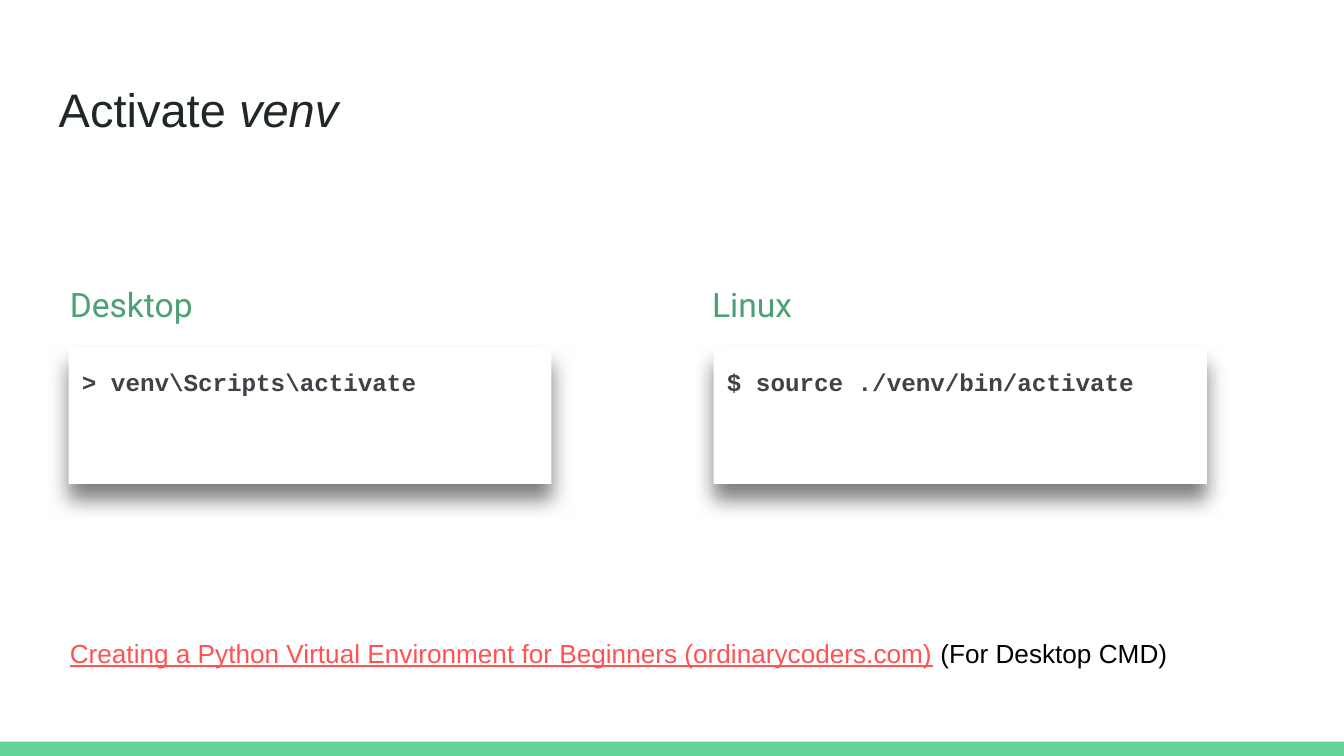
from lxml import etree
from pptx import Presentation
from pptx import util as u
from pptx.dml import color
from pptx.enum import shapes, text
from pptx.oxml import ns

COLORS = {
    "accent": "63D297",
    "title": "202729",
    "panel": "FFFFFF",
    "code": "3E4349",
    "label": "4BA173",
    "link": "FF5252",
    "note": "000000",
    "shadow": "000000",
}

SYSTEMS = [
    ("Desktop", r"> venv\Scripts\activate", 1.07, 1.3, 9.12),
    ("Linux", "$ source ./venv/bin/activate", 13.21, 13.49, 9.32),
]


def rgb(name):
    return color.RGBColor.from_string(COLORS[name])


def set_font(font, name, size, color_name):
    font.name = name
    font.size = u.Pt(size)
    font.color.rgb = rgb(color_name)


def prepare_frame(shape, anchor=text.MSO_ANCHOR.TOP):
    frame = shape.text_frame
    frame.word_wrap = True
    frame.auto_size = text.MSO_AUTO_SIZE.NONE
    frame.vertical_anchor = anchor
    frame.margin_left = frame.margin_right = u.Cm(0.25)
    frame.margin_top = frame.margin_bottom = u.Cm(0.25)
    para = frame.paragraphs[0]
    para.alignment = text.PP_ALIGN.LEFT
    return para


def add_rectangle(page, left, top, width, height, fill):
    shape = page.shapes.add_shape(
        shapes.MSO_SHAPE.RECTANGLE,
        u.Cm(left), u.Cm(top), u.Cm(width), u.Cm(height))
    shape.shadow.inherit = False
    shape.fill.solid()
    shape.fill.fore_color.rgb = rgb(fill)
    shape.line.fill.background()
    return shape


def add_drop_shadow(shape):
    effects = shape.element.spPr.find(ns.qn("a:effectLst"))
    shadow = etree.SubElement(
        effects, ns.qn("a:outerShdw"),
        blurRad=str(u.Pt(11.2)), dist=str(u.Pt(8.2)),
        dir="5400000", algn="bl", rotWithShape="0")
    tint = etree.SubElement(shadow, ns.qn("a:srgbClr"), val=COLORS["shadow"])
    etree.SubElement(tint, ns.qn("a:alpha"), val="50000")


def add_code_panel(page, code, left, width):
    panel = add_rectangle(page, left, 6.58, width, 2.57, "panel")
    add_drop_shadow(panel)
    para = prepare_frame(panel)
    para.line_spacing = 1.2
    para.text = code
    set_font(para.font, "Courier New", 13, "code")
    para.font.bold = True


def add_text_line(page, left, top, width):
    box = page.shapes.add_textbox(
        u.Cm(left), u.Cm(top), u.Cm(width), u.Cm(1.12))
    return prepare_frame(box)


def add_label(page, label, left):
    para = add_text_line(page, left, 5.11, 5.05)
    para.text = label
    set_font(para.font, "Roboto", 18, "label")


def add_reference(page):
    para = add_text_line(page, 1.07, 11.79, 21.97)
    link = para.add_run()
    link.text = "Creating a Python Virtual Environment for Beginners (ordinarycoders.com)"
    set_font(link.font, "Arial", 14, "link")
    link.font.underline = True
    note = para.add_run()
    note.text = " (For Desktop CMD)"
    set_font(note.font, "Arial", 14, "note")


def fill_title(page):
    title = page.shapes.title
    title.left, title.top = u.Cm(0.86), u.Cm(1.24)
    title.width, title.height = u.Cm(23.67), u.Cm(1.6)
    para = prepare_frame(title, text.MSO_ANCHOR.BOTTOM)
    para.add_run().text = "Activate "
    emphasis = para.add_run()
    emphasis.text = "venv"
    emphasis.font.italic = True
    set_font(para.font, "Arial", 25.2, "title")


def main():
    deck = Presentation()
    deck.slide_width = u.Cm(25.4)
    deck.slide_height = u.Cm(14.29)
    page = deck.slides.add_slide(deck.slide_layouts[5])
    add_rectangle(page, 0, 14.02, 25.4, 0.27, "accent")
    fill_title(page)
    for label, code, label_left, panel_left, panel_width in SYSTEMS:
        add_code_panel(page, code, panel_left, panel_width)
        add_label(page, label, label_left)
    add_reference(page)
    deck.save("out.pptx")


if __name__ == "__main__":
    main()
